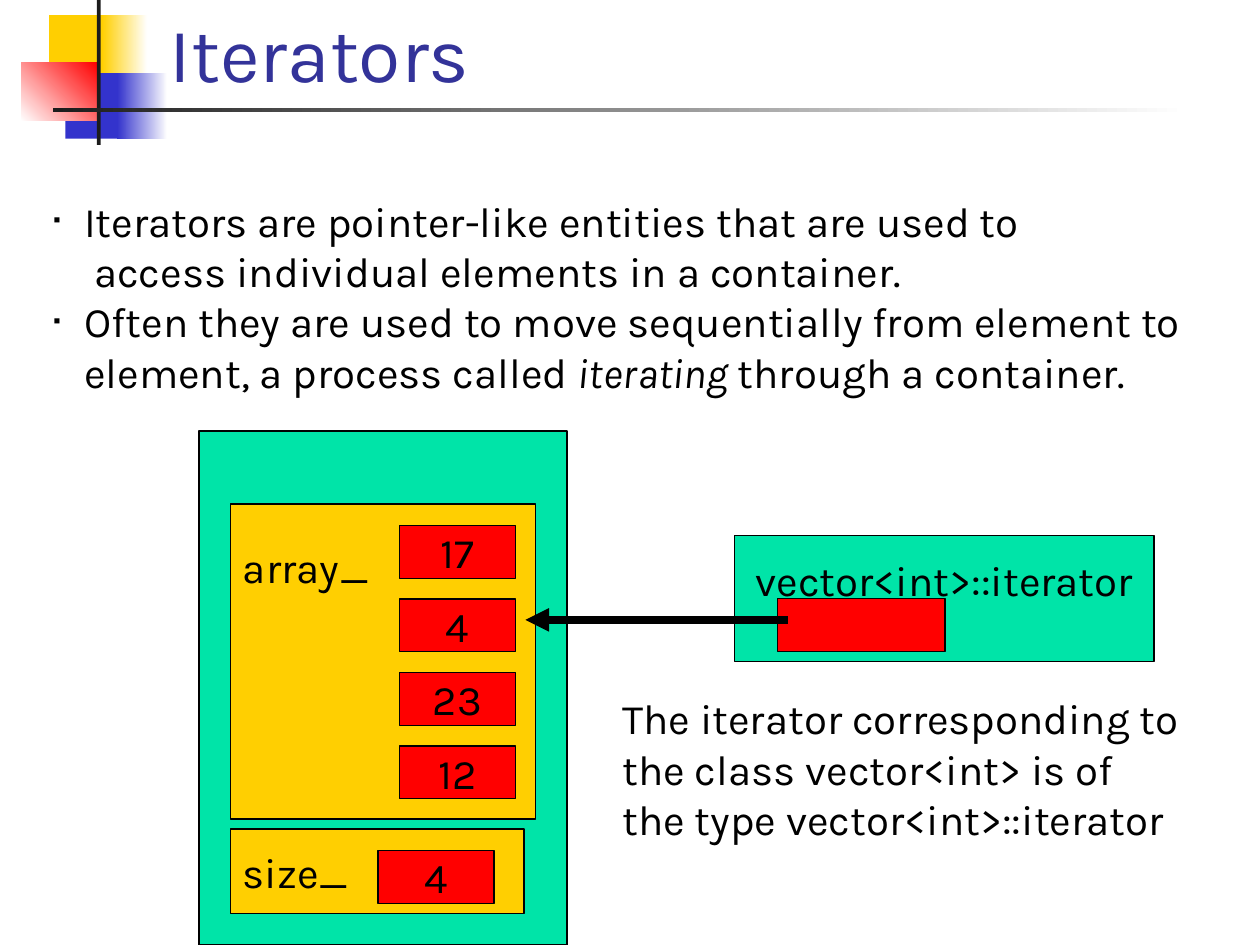
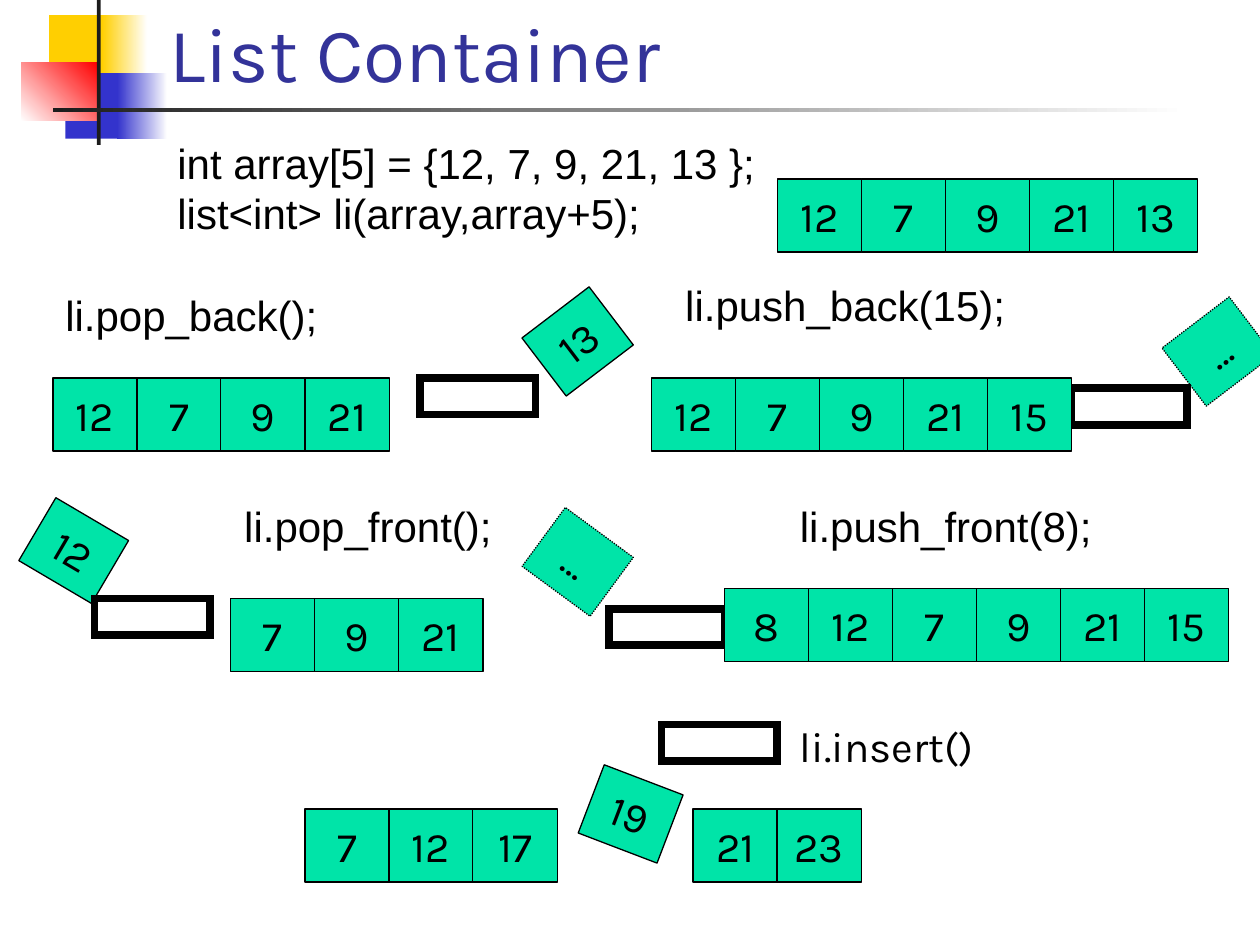
from lxml import etree
from pptx import Presentation
from pptx.dml.color import RGBColor
from pptx.enum.dml import MSO_LINE
from pptx.enum.shapes import MSO_CONNECTOR, MSO_SHAPE
from pptx.enum.text import MSO_ANCHOR, PP_ALIGN
from pptx.oxml.ns import qn
from pptx.util import Inches, Pt

BLACK = RGBColor(0x00, 0x00, 0x00)
WHITE = RGBColor(0xFF, 0xFF, 0xFF)
CHARCOAL = RGBColor(0x1C, 0x1C, 0x1C)
YELLOW = RGBColor(0xFF, 0xCF, 0x01)
BLUE = RGBColor(0x33, 0x33, 0xCC)
RED = RGBColor(0xFF, 0x00, 0x00)
GREEN = RGBColor(0x00, 0xE4, 0xA8)
TITLE_BLUE = RGBColor(0x33, 0x33, 0x99)

FONT = "Karla"
CODE_FONT = "Arial"
CELL_STEP = 2 / 3
CELL_W, CELL_H = 0.67, 0.58
VALUE_W, VALUE_H = 0.92, 0.42

# left, top, width, height, start colour, end colour (None for solid), angle
MOTIF = [
    (0.39, 0.12, 0.48, 0.52, YELLOW, None, 0),
    (0.81, 0.12, 0.36, 0.52, YELLOW, WHITE, 0),
    (0.52, 0.58, 0.46, 0.52, BLUE, None, 0),
    (0.93, 0.58, 0.4, 0.52, BLUE, WHITE, 0),
    (0.17, 0.5, 0.61, 0.46, WHITE, RED, 45),
    (0.77, 0, 0.03, 1.15, CHARCOAL, None, 0),
    (0.42, 0.86, 9, 0.03, CHARCOAL, WHITE, 0),
]


def add_run(paragraph, text, size=24, font=FONT, color=BLACK, italic=None):
    run = paragraph.add_run()
    run.text = text
    run.font.size = Pt(size)
    run.font.name = font
    run.font.color.rgb = color
    run.font.italic = italic


def add_rect(slide, left, top, width, height):
    rect = slide.shapes.add_shape(MSO_SHAPE.RECTANGLE, Inches(left), Inches(top),
                                  Inches(width), Inches(height))
    rect.shadow.inherit = False
    return rect


def add_motif(slide):
    """Coloured squares and rules behind the title."""
    for left, top, width, height, start, end, angle in MOTIF:
        rect = add_rect(slide, left, top, width, height)
        rect.line.fill.background()
        if end is None:
            rect.fill.solid()
            rect.fill.fore_color.rgb = start
            continue
        rect.fill.gradient()
        rect.fill.gradient_angle = angle
        for stop, color in zip(rect.fill.gradient_stops, (start, end)):
            stop.color.rgb = color


def add_text_frame(slide, left, top, width, height):
    frame = slide.shapes.add_textbox(Inches(left), Inches(top),
                                     Inches(width), Inches(height)).text_frame
    frame.word_wrap = True
    return frame


def add_titled_slide(prs, title):
    slide = prs.slides.add_slide(prs.slide_layouts[6])
    add_motif(slide)
    frame = add_text_frame(slide, 1.25, -0.42, 8.52, 1.25)
    frame.vertical_anchor = MSO_ANCHOR.BOTTOM
    add_run(frame.paragraphs[0], title, size=44, color=TITLE_BLUE)
    return slide


def add_label(slide, left, top, width, lines, font=CODE_FONT):
    frame = add_text_frame(slide, left, top, width, 0.1 + 0.4 * len(lines))
    for i, line in enumerate(lines):
        paragraph = frame.add_paragraph() if i else frame.paragraphs[0]
        add_run(paragraph, line, font=font)


def add_box(slide, left, top, width, height, fill, text="",
            align=PP_ALIGN.CENTER, text_offset=None):
    """Outlined box; text_offset moves its text from the middle to below the top."""
    box = add_rect(slide, left, top, width, height)
    box.fill.solid()
    box.fill.fore_color.rgb = fill
    box.line.color.rgb = BLACK
    box.line.width = Pt(0.75)
    if text:
        frame = box.text_frame
        frame.word_wrap = False
        frame.vertical_anchor = MSO_ANCHOR.MIDDLE
        if text_offset is not None:
            frame.vertical_anchor = MSO_ANCHOR.TOP
            frame.margin_top = Inches(text_offset)
        frame.paragraphs[0].alignment = align
        add_run(frame.paragraphs[0], text)
    return box


def add_cells(slide, left, top, values):
    for i, value in enumerate(values):
        add_box(slide, left + i * CELL_STEP, top, CELL_W, CELL_H, GREEN, str(value))


def add_loose_cell(slide, left, top, text, rotation):
    """Tilted cell that leaves or joins a list; an open value is dotted."""
    cell = add_box(slide, left, top, CELL_W, CELL_H, GREEN, text)
    cell.rotation = rotation
    if text == "…":
        cell.line.dash_style = MSO_LINE.ROUND_DOT


def add_heavy_line(shape, ending, **attributes):
    """Thick black line, closed by a join or arrowhead element."""
    shape.line.color.rgb = BLACK
    shape.line.width = Pt(4.5)
    line = shape._element.spPr.find(qn("a:ln"))
    etree.SubElement(line, qn(ending), **attributes)


def add_gap_frame(slide, left, top):
    """Heavy empty frame between a list and its loose cell."""
    frame = add_rect(slide, left, top, 0.92, 0.29)
    frame.fill.background()
    add_heavy_line(frame, "a:miter", lim="800000")


def add_pointer(slide, start, end):
    pointer = slide.shapes.add_connector(MSO_CONNECTOR.STRAIGHT,
                                         *map(Inches, start + end))
    add_heavy_line(pointer, "a:tailEnd", type="triangle")
    etree.SubElement(pointer._element.spPr, qn("a:effectLst"))


def indent_paragraph(paragraph, margin, bullet):
    props = paragraph._p.get_or_add_pPr()
    props.set("marL", str(Inches(margin)))
    props.set("indent", str(-Inches(margin) if bullet else 0))
    if bullet:
        etree.SubElement(props, qn("a:buSzPct"), val="25000")
        etree.SubElement(props, qn("a:buFont"), typeface=CODE_FONT)
        etree.SubElement(props, qn("a:buChar"), char="■")
    else:
        etree.SubElement(props, qn("a:buNone"))


def add_iterator_text(slide):
    frame = add_text_frame(slide, 0.33, 1.5, 9.46, 1.7)
    points = [
        (0.24, True, [("Iterators are pointer-like entities that are used to", None)]),
        (0.32, False, [("access individual elements in a container.", None)]),
        (0.24, True, [("Often they are used to move sequentially from element to "
                       "element, a process called ", None),
                      ("iterating", True), (" through a container.", None)]),
    ]
    for i, (margin, bullet, runs) in enumerate(points):
        paragraph = frame.add_paragraph() if i else frame.paragraphs[0]
        indent_paragraph(paragraph, margin, bullet)
        for text, italic in runs:
            add_run(paragraph, text, italic=italic)


def build_iterators(prs):
    slide = add_titled_slide(prs, "Iterators")
    add_box(slide, 1.58, 3.42, 2.92, 4.08, GREEN)
    add_box(slide, 1.83, 4, 2.42, 2.5, YELLOW, "array_", PP_ALIGN.LEFT, 0.3)
    add_iterator_text(slide)
    for i, value in enumerate((17, 4, 23, 12)):
        add_box(slide, 3.17, 4.17 + i * 7 / 12, VALUE_W, VALUE_H, RED, str(value))
    add_box(slide, 1.83, 6.58, 2.33, 0.67, YELLOW, "size_", PP_ALIGN.LEFT)
    add_box(slide, 3, 6.75, VALUE_W, VALUE_H, RED, "4")
    add_box(slide, 5.83, 4.25, 3.33, 1, GREEN, "vector<int>::iterator", text_offset=0.15)
    add_box(slide, 6.17, 4.75, 1.33, VALUE_H, RED)
    add_pointer(slide, (6.25, 4.92), (4.17, 4.92))
    add_label(slide, 4.84, 5.45, 5.32,
              ["The iterator corresponding to", "the class vector<int> is of",
               "the type vector<int>::iterator"], font=FONT)


def build_list_container(prs):
    slide = add_titled_slide(prs, "List Container")
    add_label(slide, 1.31, 1.04, 4.86,
              ["int array[5] = {12, 7, 9, 21, 13 };", "list<int> li(array,array+5);"])
    add_cells(slide, 6.17, 1.42, (12, 7, 9, 21, 13))

    add_label(slide, 0.42, 2.25, 2.3, ["li.pop_back();"])
    add_loose_cell(slide, 4.25, 2.42, "13", 322.7)
    add_gap_frame(slide, 3.33, 3)
    add_cells(slide, 0.42, 3, (12, 7, 9, 21))

    add_label(slide, 5.34, 2.17, 2.9, ["li.push_back(15);"])
    add_loose_cell(slide, 9.33, 2.5, "…", 322.7)
    add_gap_frame(slide, 8.5, 3.08)
    add_cells(slide, 5.17, 3, (12, 7, 9, 21, 15))

    add_label(slide, 1.84, 3.92, 2.3, ["li.pop_front();"])
    add_loose_cell(slide, 0.25, 4.08, "12", 30.5)
    add_gap_frame(slide, 0.75, 4.75)
    add_cells(slide, 1.83, 4.75, (7, 9, 21))

    add_label(slide, 6.25, 3.92, 2.7, ["li.push_front(8);"])
    add_loose_cell(slide, 4.25, 4.17, "…", 36.3)
    add_gap_frame(slide, 4.83, 4.83)
    add_cells(slide, 5.75, 4.67, (8, 12, 7, 9, 21, 15))

    add_label(slide, 6.25, 5.67, 1.8, ["li.insert()"], font=FONT)
    add_loose_cell(slide, 4.67, 6.17, "19", 20.9)
    add_gap_frame(slide, 5.25, 5.75)
    add_cells(slide, 2.42, 6.42, (7, 12, 17))
    add_cells(slide, 5.5, 6.42, (21, 23))


def main():
    prs = Presentation()
    prs.slide_width = Inches(10)
    prs.slide_height = Inches(7.5)
    build_iterators(prs)
    build_list_container(prs)
    prs.save("out.pptx")


if __name__ == "__main__":
    main()
